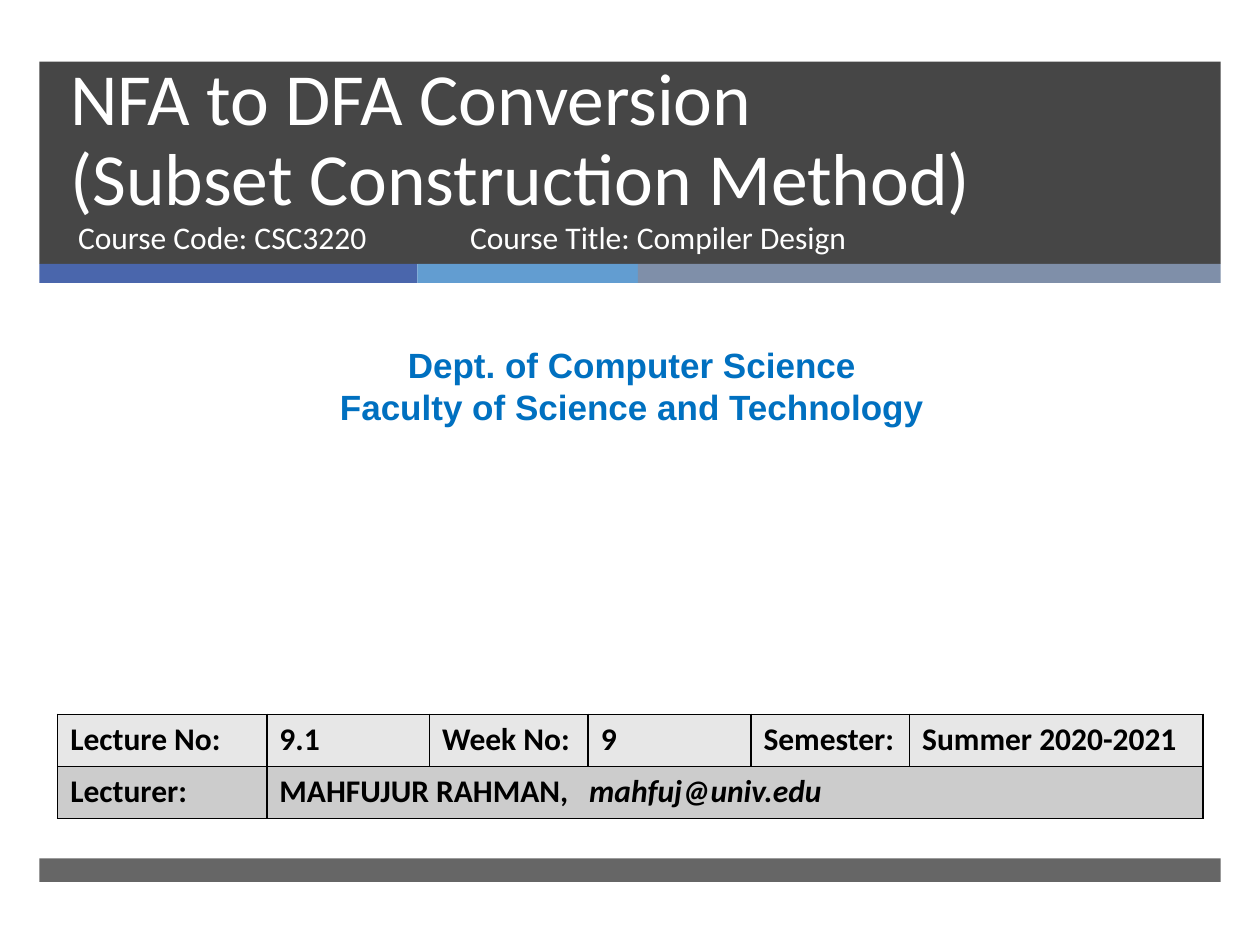
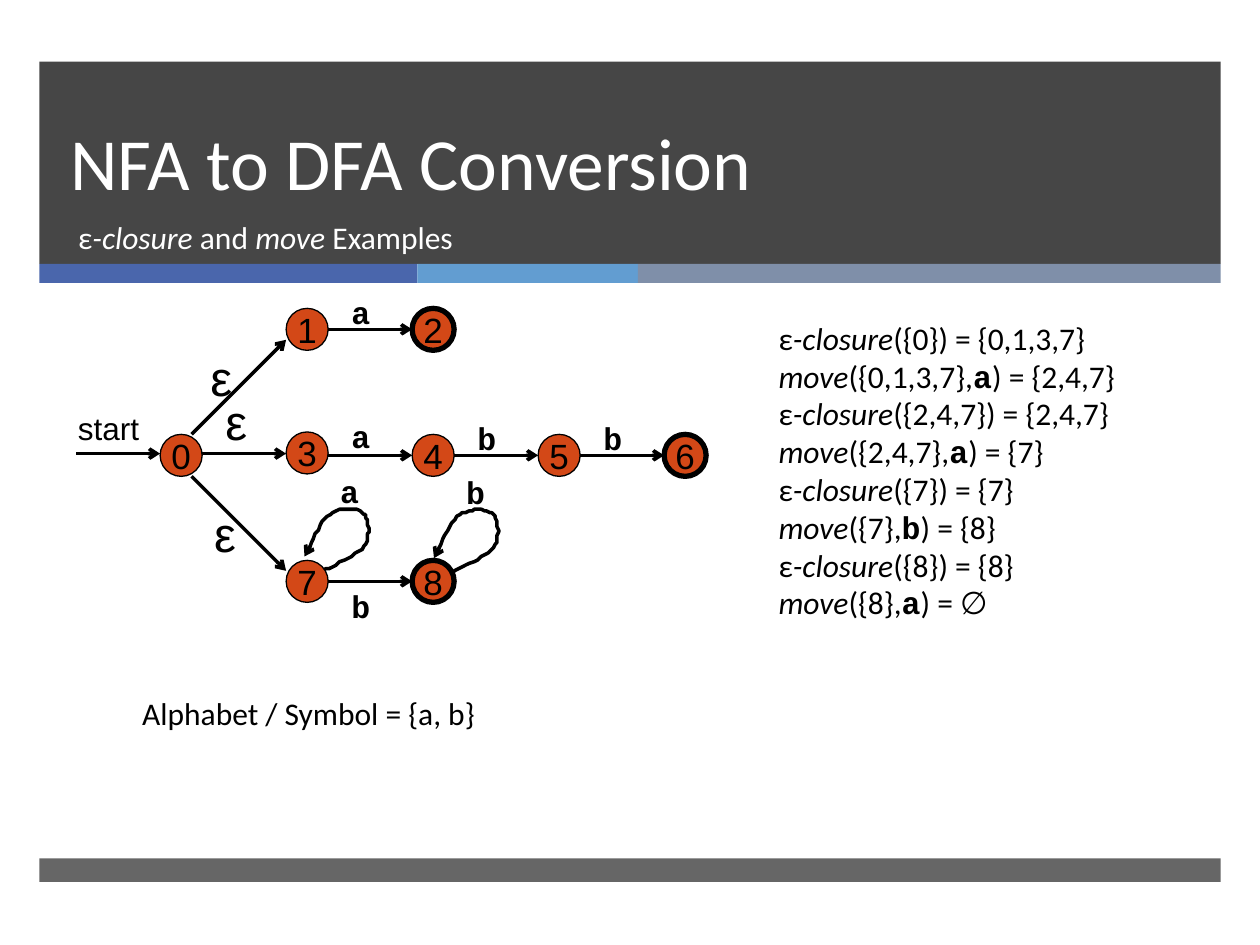
import dataclasses

import lxml.etree
import pptx
import pptx.dml.color
import pptx.enum.shapes
import pptx.enum.text
import pptx.oxml.ns
import pptx.util

Pt = pptx.util.Pt
qn = pptx.oxml.ns.qn
SubElement = lxml.etree.SubElement
Align = pptx.enum.text.PP_ALIGN
Anchor = pptx.enum.text.MSO_ANCHOR
AutoSize = pptx.enum.text.MSO_AUTO_SIZE
Shape = pptx.enum.shapes.MSO_SHAPE


@dataclasses.dataclass(frozen=True)
class Theme:
    dark: str = "262626"
    stripes: tuple = ("4A66AC", "629DD1", "7F8FA9")
    white: str = "FFFFFF"
    ink: str = "000000"
    accent: str = "0070C0"
    state: str = "D34817"
    rows: tuple = ("E7E7E7", "CCCCCC")
    body_font: str = "Calibri"
    plain_font: str = "Arial"
    code_font: str = "Courier New"
    title: int = 42
    epsilon: int = 28
    large: int = 20
    body: int = 18

    def font(self, name, size, color, **extra):
        return {"name": name, "size": Pt(size), "color": color, **extra}


T = Theme()
TITLE = T.font(T.body_font, T.title, T.white)
SUBTITLE = T.font(T.body_font, T.body, T.white)
DEPT = T.font(T.plain_font, T.large, T.accent, bold=True)
BODY = T.font(T.body_font, T.body, T.ink)
CELL = {**BODY, "bold": True}
STATE = T.font(T.plain_font, T.large, T.ink)
START = T.font(T.plain_font, T.body, T.ink)
EPSILON = T.font(T.plain_font, T.epsilon, T.ink)
SYMBOL = T.font(T.code_font, T.body, T.ink, bold=True)
ITALIC = {"italic": True}
CODE = {"name": T.code_font, "bold": True}
GROW = {"auto_size": AutoSize.SHAPE_TO_FIT_TEXT}
LABEL = {**GROW, "word_wrap": False}

HEADER = (22.5, 35.25, 675, 115.5)
FOOTER = (22.5, 490.5, 675, 13.5)
STRIPE_WIDTHS = (216, 126, 333)
STRIPE_HEIGHT = 11
STATE_SIZE = 24
STATE_PITCH = 72


def rgb(color):
    return pptx.dml.color.RGBColor.from_string(color)


def apply(obj, values):
    for name, value in values.items():
        setattr(obj, name, value)


def write(p, runs, font):
    for text, extra in runs:
        if text == "\n":
            p.add_line_break()
            continue
        r = p.add_run()
        r.text = text
        values = {**font, **extra}
        r.font.color.rgb = rgb(values.pop("color"))
        apply(r.font, values)


def write_frame(tf, paragraphs, font, frame, para):
    apply(tf, {"word_wrap": True, **frame})
    for i, runs in enumerate(paragraphs):
        p = tf.add_paragraph() if i else tf.paragraphs[0]
        apply(p, para)
        write(p, [(runs, {})] if isinstance(runs, str) else runs, font)


def add_text(s, box, paragraphs, font, frame=GROW, para={}):
    tb = s.shapes.add_textbox(*map(Pt, box))
    write_frame(tb.text_frame, paragraphs, font, frame, para)


def add_filled(s, kind, box, color, alpha=None):
    sp = s.shapes.add_shape(kind, *map(Pt, box))
    sp.shadow.inherit = False
    sp.fill.solid()
    sp.fill.fore_color.rgb = rgb(color)
    if alpha:
        clr = sp.element.spPr.find(".//" + qn("a:srgbClr"))
        SubElement(clr, qn("a:alpha"), val=str(alpha * 1000))
    sp.line.fill.background()
    return sp


def set_line(sp, width, arrow=False):
    sp.line.color.rgb = rgb(T.ink)
    sp.line.width = Pt(width)
    if arrow:
        ln = sp.element.find(".//" + qn("a:ln"))
        SubElement(ln, qn("a:tailEnd"), type="arrow")


def add_arrow(s, start, end):
    c = s.shapes.add_connector(
        pptx.enum.shapes.MSO_CONNECTOR.STRAIGHT, *map(Pt, (*start, *end)))
    set_line(c, 2, arrow=True)
    SubElement(c.element.find(qn("p:spPr")), qn("a:effectLst"))


def add_header(s, box, title, subtitles):
    left, top, width, height = box
    add_filled(s, Shape.RECTANGLE, box, T.dark, 85)
    x = left
    for w, color in zip(STRIPE_WIDTHS, T.stripes):
        add_filled(s, Shape.RECTANGLE, (x, top + height, w, STRIPE_HEIGHT), color)
        x += w
    title_top, title_height, runs = title
    add_text(s, (left + 10.6, top + title_top, 615, title_height), [runs], TITLE,
             {"vertical_anchor": Anchor.BOTTOM}, {"line_spacing": Pt(46)})
    for dx, w, runs in subtitles:
        add_text(s, (left + dx, top + 85.7, w, 38), [runs], SUBTITLE, {})


def add_base(prs, title, subtitles):
    s = prs.slides.add_slide(prs.slide_layouts[6])
    add_header(s, HEADER, title, subtitles)
    add_filled(s, Shape.RECTANGLE, FOOTER, T.dark, 70)
    return s


def fill_cell(cell, runs, color):
    tc_pr = cell._tc.get_or_add_tcPr()
    for side in ("lnL", "lnR", "lnT", "lnB"):
        ln = SubElement(tc_pr, qn("a:" + side), w=str(Pt(1)))
        SubElement(SubElement(ln, qn("a:solidFill")), qn("a:srgbClr"), val=T.ink)
    cell.fill.solid()
    cell.fill.fore_color.rgb = rgb(color)
    write(cell.text_frame.paragraphs[0], runs, CELL)


def add_lecture_table(s, box):
    rows = (
        ["Lecture No:", "9.1", "Week No:", "9", "Semester:", "Summer 2020-2021"],
        ["Lecturer:", [("MAHFUJUR RAHMAN,\t", {}), ("mahfuj@univ.edu", ITALIC)],
         "", "", "", ""],
    )
    widths = (119.5, 93, 90.7, 93, 90.7, 167.6)
    table = s.shapes.add_table(len(rows), len(widths), *map(Pt, box)).table
    apply(table, {"first_row": False, "horz_banding": False})
    for col, w in zip(table.columns, widths):
        col.width = Pt(w)
    for i, (row, color) in enumerate(zip(rows, T.rows)):
        for j, content in enumerate(row):
            runs = [(content, {})] if isinstance(content, str) else content
            fill_cell(table.cell(i, j), runs if content else [], color)
    lecturer = table.cell(1, 1)
    lecturer.merge(table.cell(1, 5))
    p_pr = lecturer.text_frame.paragraphs[0]._p.get_or_add_pPr()
    tabs = SubElement(p_pr, qn("a:tabLst"))
    SubElement(tabs, qn("a:tab"), pos=str(Pt(177)), algn="l")


def bezier(a, b, c, d, steps=12):
    for i in range(1, steps + 1):
        t = i / steps
        u = 1 - t
        yield tuple(u**3 * k + 3 * u * u * t * m + 3 * u * t * t * n + t**3 * q
                    for k, m, n, q in zip(a, b, c, d))


def add_loop(s, x, y):
    knots = [(21.6, 5.8), (25.9, 3.6), (40.3, -2.9), (44.6, -7.9),
             (48.2, -13.7), (47.5, -23.8), (44.6, -26.6),
             (41, -30.2), (31, -31), (25.2, -26.6),
             (19.4, -23), (13.7, -7.2), (10, -2.2)]
    knots = [(x + dx, y + dy) for dx, dy in knots]
    fb = s.shapes.build_freeform(*knots[0], scale=Pt(1))
    for i in range(0, len(knots) - 1, 3):
        fb.add_line_segments(bezier(*knots[i:i + 4]), close=False)
    sp = fb.convert_to_shape()
    sp.shadow.inherit = False
    sp.fill.background()
    set_line(sp, 2, arrow=True)


def add_state(s, x, y, name, accepting):
    sp = add_filled(s, Shape.OVAL, (x, y, STATE_SIZE, STATE_SIZE), T.state)
    set_line(sp, 3 if accepting else 0.75)
    write_frame(sp.text_frame, [name], STATE,
                {"word_wrap": False, "vertical_anchor": Anchor.MIDDLE},
                {"alignment": Align.CENTER})


def add_automaton(s, box):
    left, top = box[:2]
    grid = {"0": (0, 1), "1": (1, 0), "2": (2, 0), "3": (1, 1), "4": (2, 1),
            "5": (3, 1), "6": (4, 1), "7": (1, 2), "8": (2, 2)}
    states = {name: (left + col * STATE_PITCH, top + row * STATE_PITCH)
              for name, (col, row) in grid.items()}
    mid = STATE_SIZE / 2
    edges = [("1", "2", "a", -12.2), ("3", "4", "a", -13.7), ("4", "5", "b", -12.2),
             ("5", "6", "b", -12.2), ("7", "8", "b", 11.5)]
    for source, target, symbol, dy in edges:
        (x, y), (end, _) = states[source], states[target]
        add_arrow(s, (x + STATE_SIZE, y + mid), (end, y + mid))
        add_text(s, (x + 30.2, y + dy, 25, 29), [symbol], SYMBOL, LABEL)

    x, y = states["0"]
    add_arrow(s, (x - 48, y + mid - 1), (x, y + mid - 1))
    add_text(s, (x - 54, y - 18, 50, 29), ["start"], START, LABEL)
    branches = [("1", (18, 0), (0, 18), (21.6, -53.3)),
                ("3", (24, 11), (0, 11), (30.2, -28)),
                ("7", (18, 24), (0, 6), (23.8, 36))]
    for target, (dx, dy), (ex, ey), (lx, ly) in branches:
        end_x, end_y = states[target]
        add_arrow(s, (x + dx, y + dy), (end_x + ex, end_y + ey))
        add_text(s, (x + lx, y + ly, 27, 41), ["ε"], EPSILON, LABEL)

    for name, symbol, dx, dy in [("7", "a", 0, 0), ("8", "b", 2, 0.7)]:
        x, y = states[name]
        add_loop(s, x + dx, y + dy)
        add_text(s, (x + 23.8, y - 54 + dy, 25, 29), [symbol], SYMBOL, LABEL)
    for name, (x, y) in states.items():
        add_state(s, x, y - (1.4 if name == "3" else 0), name, name in "268")


def closure(states, result):
    return [("ε", {}), ("-closure", ITALIC), (f"({{{states}}}) = {{{result}}}", {})]


def move(states, symbol, result):
    return [("move", ITALIC), (f"({{{states}}},", {}), (symbol, CODE),
            (f") = {result}", {})]


def add_examples(s, box):
    lines = [
        closure("0", "0,1,3,7"), move("0,1,3,7", "a", "{2,4,7}"),
        closure("2,4,7", "2,4,7"), move("2,4,7", "a", "{7}"),
        closure("7", "7"), move("7", "b", "{8}"),
        closure("8", "8"), move("8", "a", "∅"),
    ]
    runs = lines[0] + [r for line in lines[1:] for r in [("\n", {}), *line]]
    add_text(s, box, [runs], BODY, LABEL)


def build_cover(prs):
    title = [("NFA to DFA Conversion ", {}), ("\n", {}),
             ("(Subset Construction Method)", {})]
    s = add_base(prs, (5.8, 88.5, title),
                 [(15, 219.5, "Course Code: CSC3220"),
                  (239, 327.5, "Course Title: Compiler Design")])
    add_text(s, (5.8, 193, 710.6, 55.5),
             ["Dept. of Computer Science", "Faculty of Science and Technology"],
             DEPT, GROW, {"alignment": Align.CENTER, "line_spacing": Pt(24)})
    add_lecture_table(s, (33, 408.2, 654.5, 59.6))


def build_example(prs):
    subtitle = [("ε", {}), ("-closure", ITALIC), (" and ", {}),
                ("move", ITALIC), (" Examples", {})]
    s = add_base(prs, (0, 85.7, "NFA to DFA Conversion"), [(15, 610.5, subtitle)])
    add_automaton(s, (91.5, 176.2, 312, 168))
    add_examples(s, (437.8, 178.6, 227.5, 181.4))
    add_text(s, (74.2, 393, 276.5, 29), ["Alphabet / Symbol = {a, b}"], BODY)


def main():
    prs = pptx.Presentation()
    apply(prs, {"slide_width": Pt(720), "slide_height": Pt(540)})
    build_cover(prs)
    build_example(prs)
    prs.save("out.pptx")


if __name__ == "__main__":
    main()
